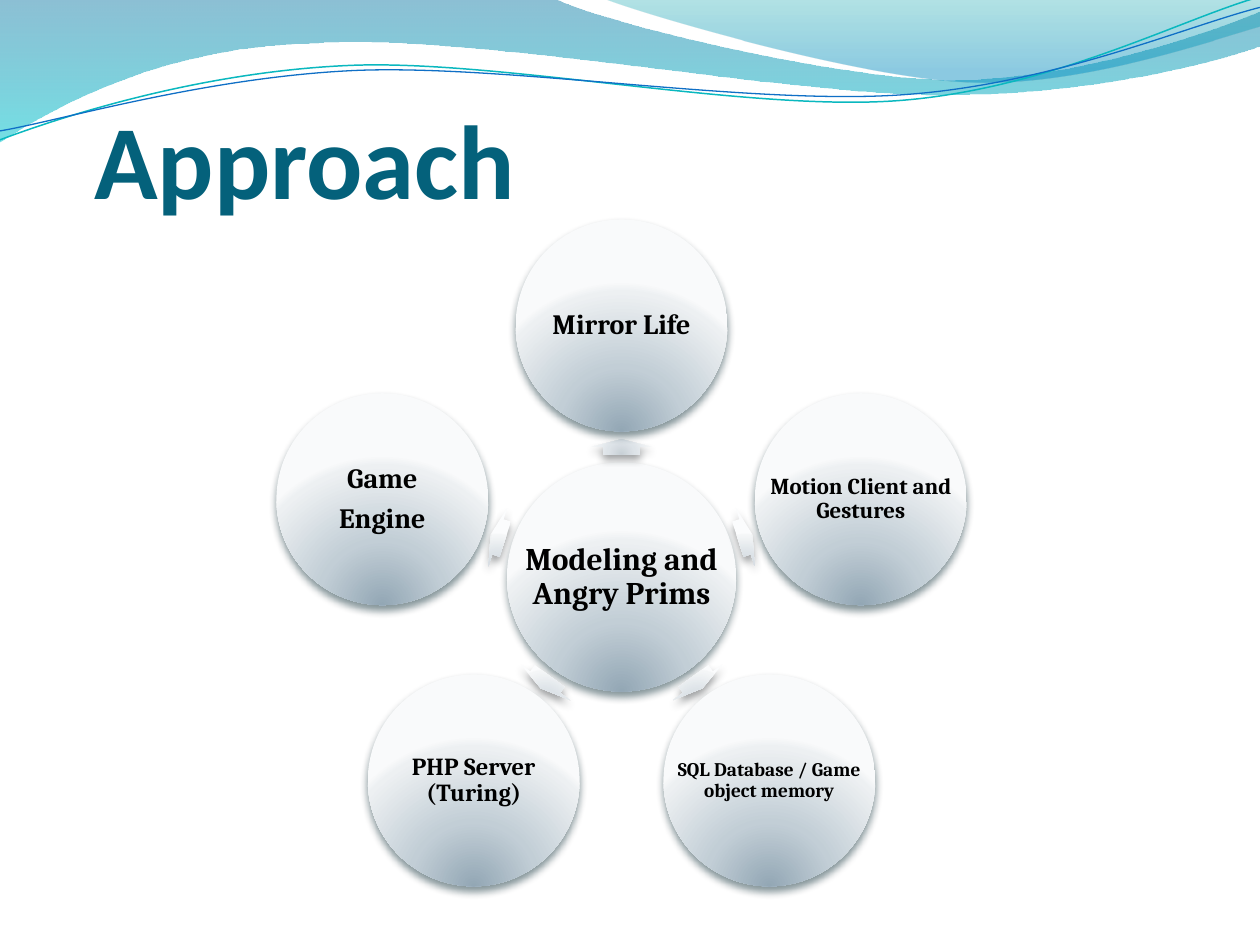
from math import cos, radians, sin

from lxml.etree import SubElement
from pptx import Presentation
from pptx.dml.color import RGBColor
from pptx.enum.shapes import MSO_SHAPE
from pptx.enum.text import MSO_ANCHOR, MSO_AUTO_SIZE, PP_ALIGN
from pptx.oxml import parse_xml
from pptx.oxml.ns import nsdecls, qn
from pptx.util import Cm, Pt

COLORS = {
    "title": "04617B", "text": "000000",
    "teal_line": "0AB8BF", "blue_line": "0F6FC6",
    "ball_shadow": "00232C", "arrow_shadow": "3C4043",
}
# Gradient stops: position %, colour, opacity %
BALL = [(0, "93A7B5", 100), (43, "C2CED6", 100), (93, "EDF0F2", 100), (100, "F9FAFB", 100)]
ARROW = [(0, "C8D0D6", 100), (43, "DDE3E8", 100), (93, "F4F6F7", 100), (100, "FBFCFD", 100)]
WAVE_BACK = [(0, "0074A1", 45), (100, "00C6CF", 55)]
WAVE_FRONT = [(0, "00A1A9", 30), (80, "008BBF", 45)]
DOWNWARD = '<a:lin ang="5400000" scaled="0"/>'
GLOW = ('<a:path path="circle"><a:fillToRect l="50000" t="130000" '
        'r="50000" b="-30000"/></a:path>')


class Deck:
    title_font = "Calibri"
    body_font = "Cambria"

    def __init__(self):
        self.prs = Presentation()
        self.prs.slide_width, self.prs.slide_height = Cm(25.4), Cm(19.05)
        self.s = self.prs.slides.add_slide(self.prs.slide_layouts[5])

    def style(self, p, size, font, color):
        for r in p.runs:
            r.font.size, r.font.bold, r.font.name = Pt(size), True, font
            r.font.color.rgb = RGBColor.from_string(COLORS[color])

    def gradient(self, sp, stops, direction):
        sp.line.fill.background()
        gs = "".join(
            f'<a:gs pos="{pos * 1000}"><a:srgbClr val="{color}">'
            f'<a:alpha val="{alpha * 1000}"/></a:srgbClr></a:gs>'
            for pos, color, alpha in stops)
        fill = parse_xml(f'<a:gradFill {nsdecls("a")} rotWithShape="1">'
                         f'<a:gsLst>{gs}</a:gsLst>{direction}</a:gradFill>')
        sp.element.spPr.find(qn("a:ln")).addprevious(fill)

    def drop_shadow(self, sp, color):
        effects = sp.element.spPr.find(qn("a:effectLst"))
        shadow = SubElement(effects, qn("a:outerShdw"), blurRad=str(Pt(4.5)),
                            dist=str(Pt(3)), dir="5400000", rotWithShape="0")
        clr = SubElement(shadow, qn("a:srgbClr"), val=COLORS[color])
        SubElement(clr, qn("a:alpha"), val="48000")

    def freeform(self, start, segments, close):
        """Segments are lines (x, y) or cubic curves (two controls and an end)."""
        points = [(Cm(x), Cm(y)) for seg in segments for x, y in zip(seg[::2], seg[1::2])]
        builder = self.s.shapes.build_freeform(Cm(start[0]), Cm(start[1]))
        builder.add_line_segments(points, close=close)
        sp = builder.convert_to_shape()
        sp.shadow.inherit = False
        # Each run of three points that describes a curve becomes one Bézier
        legs = iter(list(sp.element.spPr.iter(qn("a:lnTo"))))
        for seg in segments:
            leg = next(legs)
            if len(seg) == 6:
                leg.addprevious(parse_xml(f'<a:cubicBezTo {nsdecls("a")}/>'))
                curve = leg.getprevious()
                for part in (leg, next(legs), next(legs)):
                    curve.append(part[0])
                    part.getparent().remove(part)
        return sp

    def wave(self, start, segments, stops):
        self.gradient(self.freeform(start, segments, True), stops, DOWNWARD)

    def ribbon(self, start, segments, color, width):
        sp = self.freeform(start, segments, False)
        sp.fill.background()
        sp.line.color.rgb = RGBColor.from_string(COLORS[color])
        sp.line.width = Pt(width)

    def title(self, text, x, y, w, h):
        sp = self.s.shapes.title
        sp.element.getparent().append(sp.element)  # in front of the waves
        sp.left, sp.top, sp.width, sp.height = Cm(x), Cm(y), Cm(w), Cm(h)
        tf = sp.text_frame
        tf.text = text
        tf.auto_size, tf.vertical_anchor = MSO_AUTO_SIZE.NONE, MSO_ANCHOR.BOTTOM
        tf.margin_left = tf.margin_right = tf.margin_bottom = 0
        p = tf.paragraphs[0]
        p.alignment = PP_ALIGN.LEFT
        self.style(p, 60, self.title_font, "title")

    def solid(self, kind, cx, cy, w, h, stops, shadow):
        sp = self.s.shapes.add_shape(kind, Cm(cx - w / 2), Cm(cy - h / 2), Cm(w), Cm(h))
        sp.shadow.inherit = False
        self.gradient(sp, stops, GLOW)
        self.drop_shadow(sp, shadow)
        return sp

    def ball(self, cx, cy, d, text, size):
        sp = self.solid(MSO_SHAPE.OVAL, cx, cy, d, d, BALL, "ball_shadow")
        # The label spans the full circle, wider than the oval's own text area
        tf = self.s.shapes.add_textbox(sp.left, sp.top, sp.width, sp.height).text_frame
        tf.text = text
        tf.word_wrap, tf.vertical_anchor = True, MSO_ANCHOR.MIDDLE
        tf.margin_left = tf.margin_right = tf.margin_top = tf.margin_bottom = Cm(0.05)
        for p in tf.paragraphs:
            p.alignment, p.line_spacing = PP_ALIGN.CENTER, 0.9
            p.space_after = Pt(size * 0.35)
            self.style(p, size, self.body_font, "text")

    def arrow(self, cx, cy, angle):
        sp = self.solid(MSO_SHAPE.RIGHT_ARROW, cx, cy, 0.31, 1.24, ARROW, "arrow_shadow")
        sp.adjustments[0], sp.adjustments[1] = 0.6, 0.5
        sp.rotation = angle % 360


def main():
    deck = Deck()

    # Waves along the top
    deck.wave((0, 0), [
        (11.18, -0.03), (12.09, 0.43, 16.87, 1.6, 19.25, 1.6),
        (21.67, 1.6, 24.33, 0.66, 25.4, 0.23), (25.43, 0.91),
        (24.97, 1.12, 22.1, 1.93, 18.95, 1.91), (15.8, 1.91, 9.7, 0.71, 6.53, 0.86),
        (3.28, 0.91, 1.17, 2.11, -0.03, 2.87), (0, 0)], WAVE_BACK)
    deck.wave((12.17, -0.03), [
        (12.93, 0.28, 17.32, 1.57, 19.53, 1.65),
        (21.74, 1.75, 24.41, 0.81, 25.4, 0.53), (25.4, 0), (12.17, -0.03)], WAVE_FRONT)
    deck.ribbon((0, 2.82), [
        (1.22, 2.36, 4.01, 1.45, 7.04, 1.32), (10.03, 1.19, 15.06, 2.26, 18.11, 2.03),
        (21.16, 1.8, 23.83, 0.38, 25.35, -0.05)], "teal_line", 0.85)
    deck.ribbon((0, 2.64), [
        (1.19, 2.44, 4.17, 1.55, 7.19, 1.42), (10.24, 1.3, 15.16, 2.13, 18.21, 1.91),
        (21.23, 1.7, 23.9, 0.53, 25.4, 0.15)], "blue_line", 0.75)

    # Title
    deck.title("Approach", 1.9, 1.27, 21.4, 3.18)

    # Hub with five components, clockwise from the top
    cx, cy = 12.53, 11.63
    ball_ring, arrow_ring = 5.07, 2.62
    components = [
        ("Mirror Life", 16),
        ("Motion Client and Gestures", 13),
        ("SQL Database / Game object memory", 11),
        ("PHP Server (Turing)", 14),
        ("Game\nEngine", 16),
    ]
    deck.ball(cx, cy, 4.62, "Modeling and Angry Prims", 18)
    for i, (text, size) in enumerate(components):
        angle = -90 + i * 360 / len(components)
        dx, dy = cos(radians(angle)), sin(radians(angle))
        deck.arrow(cx + arrow_ring * dx, cy + arrow_ring * dy, angle)
        deck.ball(cx + ball_ring * dx, cy + ball_ring * dy, 4.27, text, size)

    deck.prs.save("out.pptx")


if __name__ == "__main__":
    main()
